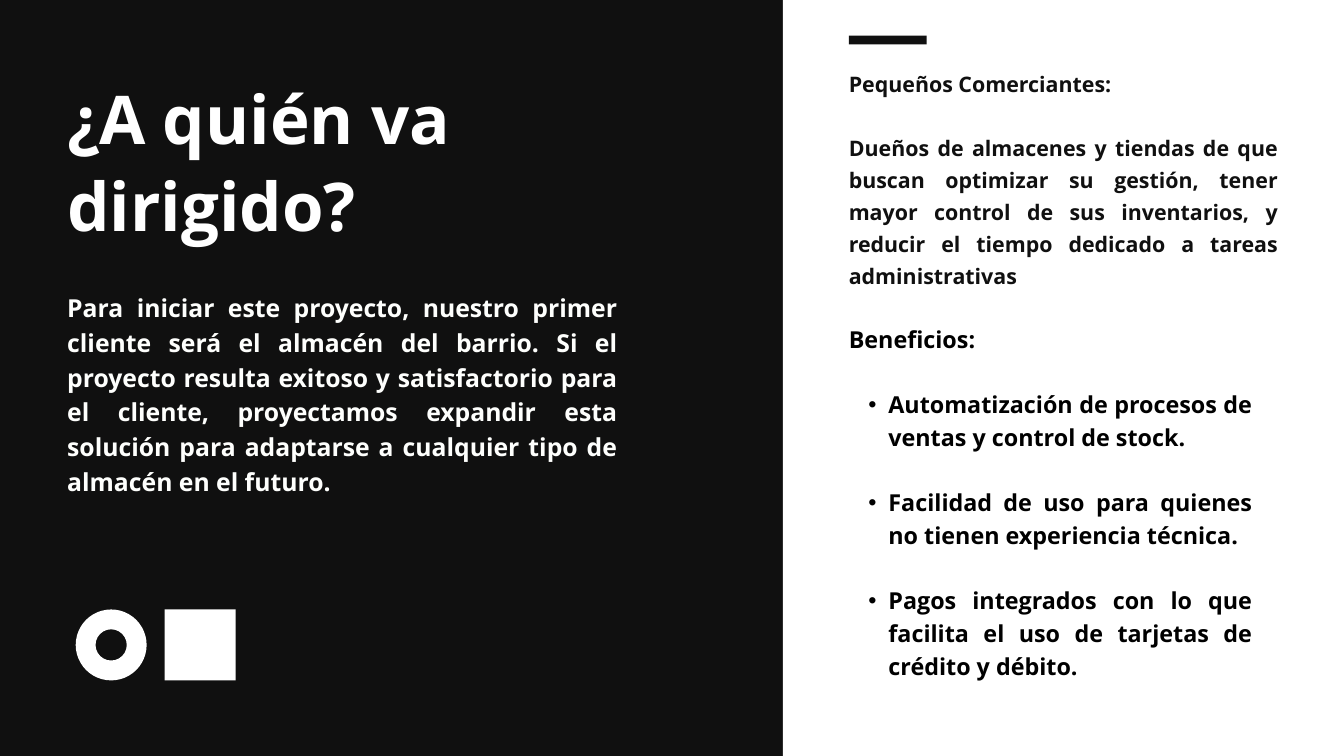
from lxml.etree import SubElement
from pptx import Presentation
from pptx.dml.color import RGBColor
from pptx.enum.shapes import MSO_SHAPE
from pptx.enum.text import MSO_ANCHOR, MSO_AUTO_SIZE, PP_ALIGN
from pptx.oxml.ns import qn
from pptx.util import Pt

BLACK, INK, WHITE, CREAM = "000000", "101010", "FFFFFF", "FEFFFD"
FONT = "Open Sans"
WIDTH, HEIGHT = 1440, 810
LEFT_MARGIN, RIGHT_MARGIN, PANEL_LEFT = 72, 909.4, 838.8
MARK_SIZE, MARK_TOP, MARK_LEFT, MARK_STEP = 76, 653, 81.1, 95.4
RING_THICKNESS = 0.28

TITLE = "¿A quién va dirigido?"
INTRODUCTION = [
    "Para iniciar este proyecto, nuestro primer cliente será el almacén del barrio. "
    "Si el proyecto resulta exitoso y satisfactorio para el cliente, proyectamos "
    "expandir esta solución para adaptarse a cualquier tipo de almacén en el futuro."
]
AUDIENCE = [
    "Pequeños Comerciantes:",
    "Dueños de almacenes y tiendas de que buscan optimizar su gestión, tener mayor "
    "control de sus inventarios, y reducir el tiempo dedicado a tareas administrativas",
]
BENEFITS_HEADING = "Beneficios:"
BENEFITS = [
    "Automatización de procesos de ventas y control de stock.",
    "Facilidad de uso para quienes no tienen experiencia técnica.",
    "Pagos integrados con lo que facilita el uso de tarjetas de crédito y débito.",
]


def color(value):
    return RGBColor.from_string(value)


def place(shape, left, top, width, height):
    shape.left, shape.top, shape.width, shape.height = map(Pt, (left, top, width, height))


def set_bullet(paragraph, bulleted):
    properties = paragraph._p.get_or_add_pPr()
    if bulleted:
        paragraph.level = 1
        properties.set("marL", str(Pt(42.5)))
        properties.set("indent", str(Pt(-21.6)))
        SubElement(properties, qn("a:buChar")).set("char", "•")
    else:
        properties.set("marL", "0")
        properties.set("indent", "0")
        SubElement(properties, qn("a:buNone"))


def write(shape, texts, size, line, fill, align=PP_ALIGN.JUSTIFY, bullets_from=None):
    frame = shape.text_frame
    frame.word_wrap = True
    frame.auto_size = MSO_AUTO_SIZE.NONE
    frame.vertical_anchor = MSO_ANCHOR.TOP
    frame.margin_left = frame.margin_top = frame.margin_right = frame.margin_bottom = 0
    for index, text in enumerate(texts):
        paragraph = frame.add_paragraph() if index else frame.paragraphs[0]
        set_bullet(paragraph, bullets_from is not None and index >= bullets_from)
        paragraph.alignment = align
        paragraph.line_spacing = Pt(line)
        paragraph.space_before = Pt(line if index else 0)
        run = paragraph.add_run()
        run.text = text
        run.font.name, run.font.size, run.font.bold = FONT, Pt(size), True
        run.font.color.rgb = color(fill)


def add_block(slide, kind, left, top, width, height, fill):
    shape = slide.shapes.add_shape(kind, Pt(left), Pt(top), Pt(width), Pt(height))
    shape.shadow.inherit = False
    shape.fill.solid()
    shape.fill.fore_color.rgb = color(fill)
    shape.line.fill.background()
    return shape


def add_text(slide, left, top, width, height, texts, **style):
    box = slide.shapes.add_textbox(Pt(left), Pt(top), Pt(width), Pt(height))
    write(box, texts, **style)


def main():
    presentation = Presentation()
    presentation.slide_width, presentation.slide_height = Pt(WIDTH), Pt(HEIGHT)
    slide = presentation.slides.add_slide(presentation.slide_layouts[1])
    slide.background.fill.solid()
    slide.background.fill.fore_color.rgb = color(INK)
    title, body = slide.placeholders

    panel = add_block(slide, MSO_SHAPE.RECTANGLE, PANEL_LEFT, 0, WIDTH - PANEL_LEFT, HEIGHT, WHITE)
    title.element.addprevious(panel.element)

    place(title, LEFT_MARGIN, 75.6, 680.4, 184.3)
    write(title, [TITLE], size=72, line=93.6, fill=WHITE, align=PP_ALIGN.LEFT)
    add_text(slide, LEFT_MARGIN, 308.9, 589.7, 219.6, INTRODUCTION, size=26.5, line=37.1, fill=CREAM)

    add_block(slide, MSO_SHAPE.RECTANGLE, RIGHT_MARGIN, 38.2, 83.5, 9.4, INK)
    add_text(slide, RIGHT_MARGIN, 69.1, 460, 233.3, AUDIENCE, size=22.9, line=34.3, fill=INK)
    place(body, RIGHT_MARGIN, 343.4, 432, 425.5)
    write(body, [BENEFITS_HEADING, *BENEFITS], size=25, line=35, fill=BLACK, bullets_from=1)

    for index, kind in enumerate((MSO_SHAPE.DONUT, MSO_SHAPE.RECTANGLE)):
        mark = add_block(slide, kind, MARK_LEFT + index * MARK_STEP, MARK_TOP, MARK_SIZE, MARK_SIZE, WHITE)
        if kind == MSO_SHAPE.DONUT:
            mark.adjustments[0] = RING_THICKNESS

    presentation.save("out.pptx")


if __name__ == "__main__":
    main()
